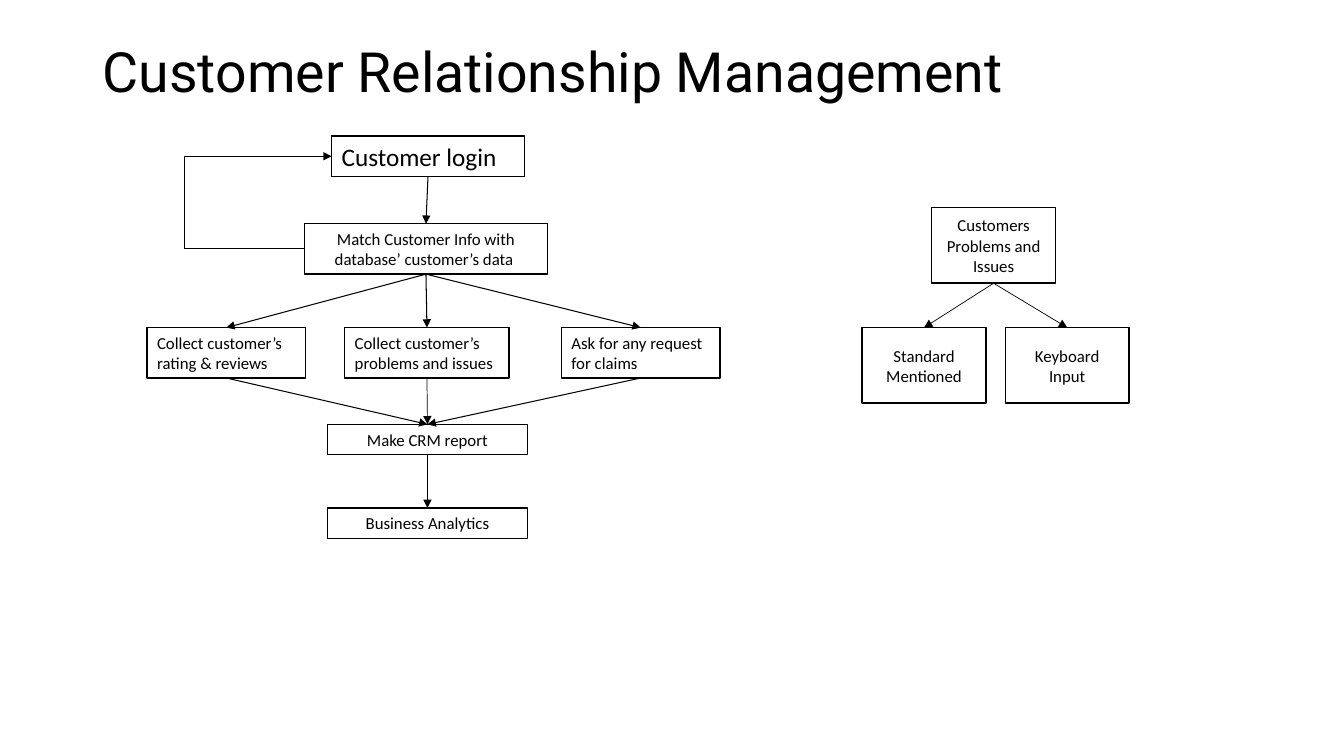
from lxml.etree import SubElement
from pptx import Presentation
from pptx.dml.color import RGBColor
from pptx.enum.shapes import MSO_CONNECTOR as CONN, MSO_SHAPE as SHAPE
from pptx.enum.text import MSO_ANCHOR as ANCHOR, MSO_AUTO_SIZE as AUTO, PP_ALIGN as ALIGN
from pptx.oxml.ns import qn
from pptx.util import Inches, Pt

TOP, LEFT, BOTTOM = 0, 1, 2


def color(value):
    return RGBColor.from_string(value)


class FlowSlide:
    ink = "000000"
    paper = "FFFFFF"
    body_font = "Calibri"
    title_font = "Roboto"

    def __init__(self, prs):
        self.s = prs.slides.add_slide(prs.slide_layouts[6])

    def set_text(self, tf, text, size, font, align, anchor):
        tf.word_wrap = True
        tf.vertical_anchor = anchor
        p = tf.paragraphs[0]
        p.text = text
        p.alignment = align
        p.font.size = Pt(size)
        p.font.name = font
        p.font.color.rgb = color(self.ink)
        return p

    def title(self, text, x, y, w, h):
        sp = self.s.shapes.add_textbox(Inches(x), Inches(y), Inches(w), Inches(h))
        p = self.set_text(sp.text_frame, text, 39.6, self.title_font, ALIGN.LEFT, ANCHOR.MIDDLE)
        p.line_spacing = 0.9

    def box(self, text, x, y, w, h, size=12, align=ALIGN.CENTER, grow=True):
        sp = self.s.shapes.add_shape(SHAPE.RECTANGLE, Inches(x), Inches(y), Inches(w), Inches(h))
        sp.shadow.inherit = False
        sp.fill.solid()
        sp.fill.fore_color.rgb = color(self.paper)
        sp.line.color.rgb = color(self.ink)
        sp.line.width = Pt(1)
        anchor = ANCHOR.TOP if grow else ANCHOR.MIDDLE
        self.set_text(sp.text_frame, text, size, self.body_font, align, anchor)
        sp.text_frame.auto_size = AUTO.SHAPE_TO_FIT_TEXT if grow else AUTO.NONE
        return sp

    def line(self, x1, y1, x2, y2, width=0.75, arrow=False):
        c = self.s.shapes.add_connector(CONN.STRAIGHT, Inches(x1), Inches(y1), Inches(x2), Inches(y2))
        c.line.color.rgb = color(self.ink)
        c.line.width = Pt(width)
        sp_pr = c._element.spPr
        if arrow:
            SubElement(sp_pr.find(qn("a:ln")), qn("a:tailEnd"), type="triangle")
        SubElement(sp_pr, qn("a:effectLst"))
        return c

    def arrow_down(self, upper, lower, width=0.75):
        c = self.line(0, 0, 1, 1, width, arrow=True)
        c.begin_connect(upper, BOTTOM)
        c.end_connect(lower, TOP)


def main():
    prs = Presentation()
    prs.slide_width, prs.slide_height = Inches(13.33), Inches(7.5)
    flow = FlowSlide(prs)
    flow.title("Customer Relationship Management", 0.92, 0.4, 11.33, 0.67)

    login = flow.box("Customer login", 3.29, 1.35, 1.91, 0.4, size=18, align=ALIGN.LEFT)
    match = flow.box("Match Customer Info with database’ customer’s data ", 3.02, 2.22, 2.41, 0.5)
    ratings, problems, claims = [
        flow.box(text, x, 3.25, w, 0.5, align=ALIGN.LEFT)
        for text, x, w in (
            ("Collect customer’s rating & reviews", 1.46, 1.57),
            ("Collect customer’s problems and issues", 3.42, 1.63),
            ("Ask for any request for claims", 5.57, 1.57),
        )
    ]
    report, analytics = [
        flow.box(text, 3.25, y, 1.98, 0.3)
        for text, y in (("Make CRM report", 4.21), ("Business Analytics", 5.04))
    ]

    flow.arrow_down(login, match)
    for step, width in ((ratings, 0.75), (problems, 0.5), (claims, 0.75)):
        flow.arrow_down(match, step)
        flow.arrow_down(step, report, width)
    flow.arrow_down(report, analytics)

    loop_x, match_y, login_y = 1.83, 2.47, 1.55
    flow.line(3.02, match_y, loop_x, match_y).begin_connect(match, LEFT)
    flow.line(loop_x, match_y, loop_x, login_y)
    flow.line(loop_x, login_y, 3.29, login_y, arrow=True).end_connect(login, LEFT)

    issues = flow.box("Customers Problems and Issues", 9.24, 2.06, 1.23, 0.75, grow=False)
    for text, x in (("Standard Mentioned", 8.55), ("Keyboard Input", 9.97)):
        source = flow.box(text, x, 3.25, 1.23, 0.75, grow=False)
        flow.arrow_down(issues, source, 0.5)

    prs.save("out.pptx")


if __name__ == "__main__":
    main()
